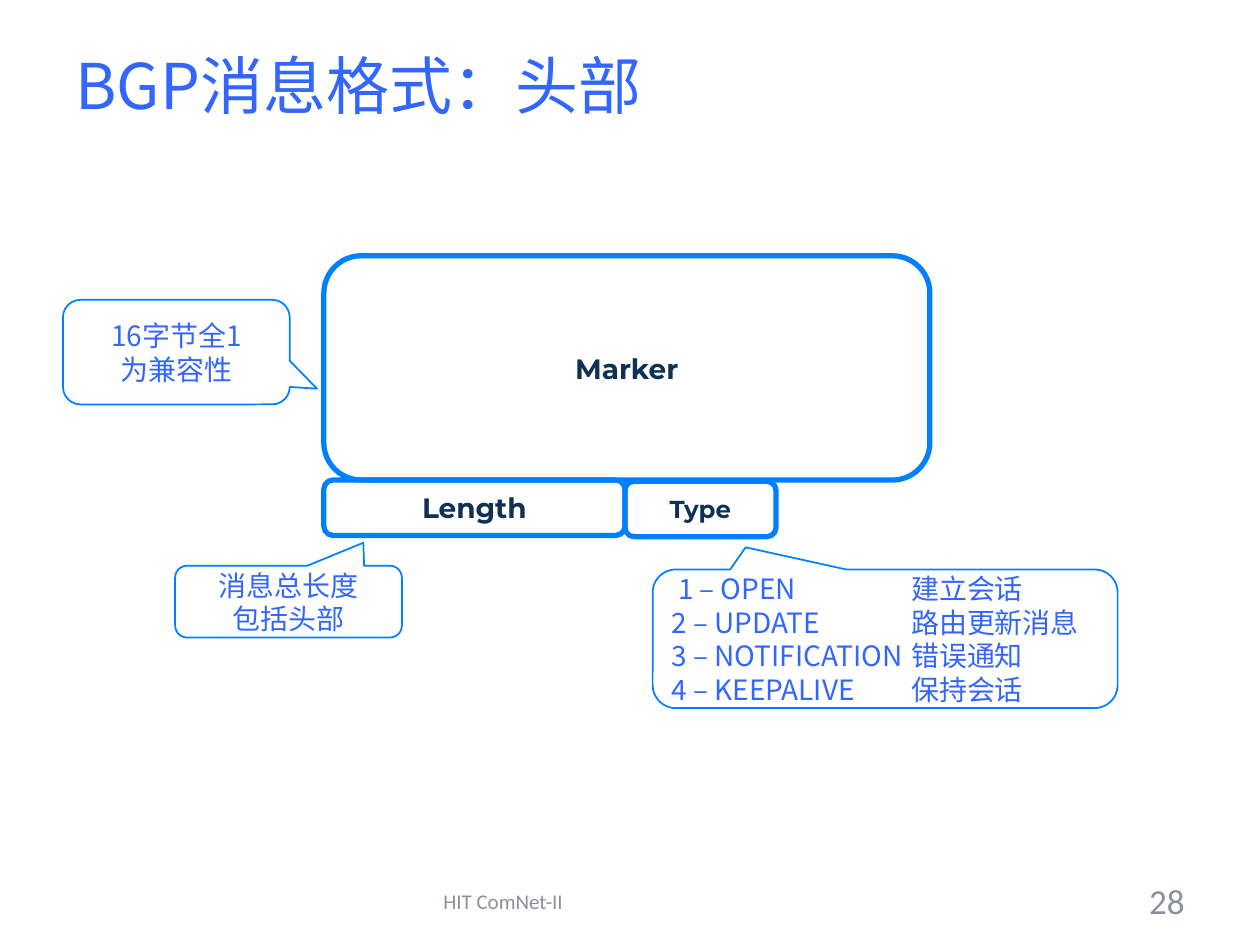
from dataclasses import dataclass

from lxml import etree
from pptx import Presentation
from pptx.dml.color import RGBColor
from pptx.enum.shapes import MSO_SHAPE
from pptx.enum.text import MSO_ANCHOR, PP_ALIGN
from pptx.oxml.ns import qn
from pptx.util import Inches, Pt

LEFT, CENTER, RIGHT = PP_ALIGN.LEFT, PP_ALIGN.CENTER, PP_ALIGN.RIGHT
MIDDLE = MSO_ANCHOR.MIDDLE
FIELD = MSO_SHAPE.ROUNDED_RECTANGLE
CALLOUT = MSO_SHAPE.ROUNDED_RECTANGULAR_CALLOUT


@dataclass(frozen=True)
class Theme:
    note: str = "3366FF"
    outline: str = "0080FF"
    label: str = "103154"
    muted: str = "8C9099"
    note_font: str = "Noto Sans CJK SC"
    label_font: str = "Montserrat"
    footer_font: str = "Calibri"
    title_size: int = 36
    number_size: int = 20
    body_size: int = 16
    small_label_size: int = 14
    footer_size: int = 12
    field_line: int = 3
    callout_line: int = 1


theme = Theme()


def write_text(box, text, *, size=theme.body_size, color=theme.note, font=theme.note_font,
               bold=False, align=LEFT, tab=None):
    frame = box.text_frame
    frame.word_wrap = True
    frame.vertical_anchor = MIDDLE
    for index, line in enumerate(text.split("\n")):
        para = frame.paragraphs[0] if index == 0 else frame.add_paragraph()
        para.alignment = align
        if tab is not None:
            stops = etree.SubElement(para._p.get_or_add_pPr(), qn("a:tabLst"))
            etree.SubElement(stops, qn("a:tab"), pos=str(Inches(tab)), algn="l")
        span = para.add_run()
        span.text = line
        span.font.size = Pt(size)
        span.font.bold = bold
        span.font.color.rgb = RGBColor.from_string(color)
        span.font.name = font
        etree.SubElement(span._r.get_or_add_rPr(), qn("a:ea"), typeface=font)


def add_outline(kind, place, line_width):
    shape = page.shapes.add_shape(kind, *map(Inches, place))
    shape.shadow.inherit = False
    shape.fill.background()
    shape.line.color.rgb = RGBColor.from_string(theme.outline)
    shape.line.width = Pt(line_width)
    return shape


deck = Presentation()
deck.slide_width, deck.slide_height = Inches(10), Inches(7.5)
page = deck.slides.add_slide(deck.slide_layouts[6])

title = page.shapes.add_textbox(Inches(0.5), Inches(0.04), Inches(9), Inches(1.25))
write_text(title, "BGP消息格式：头部", size=theme.title_size)

footers = [
    ("HIT ComNet-II", 3.42, 3.17, theme.footer_size, LEFT),
    ("28", 7.17, 2.33, theme.number_size, RIGHT),
]
for text, left, width, size, align in footers:
    footer = page.shapes.add_textbox(Inches(left), Inches(6.95), Inches(width), Inches(0.4))
    write_text(footer, text, size=size, color=theme.muted, font=theme.footer_font, align=align)

header_fields = [
    ("Length", (2.57, 3.81, 2.39, 0.44), theme.body_size),
    ("Marker", (2.57, 2.03, 4.81, 1.78), theme.body_size),
    ("Type", (4.96, 3.82, 1.2, 0.44), theme.small_label_size),
]
for text, place, size in header_fields:
    field = add_outline(FIELD, place, theme.field_line)
    write_text(field, text, size=size, color=theme.label, font=theme.label_font,
               bold=True, align=CENTER)

message_types = "\n".join([
    " 1 – OPEN\t建立会话",
    "2 – UPDATE\t路由更新消息",
    "3 – NOTIFICATION\t错误通知",
    "4 – KEEPALIVE\t保持会话",
])
callouts = [
    ("16字节全1\n为兼容性", (0.5, 2.38, 1.8, 0.83), (0.62, 0.35), CENTER, None),
    ("消息总长度\n包括头部", (1.39, 4.49, 1.8, 0.57), (0.33, -0.82), CENTER, None),
    (message_types, (5.18, 4.52, 3.69, 1.1), (-0.3, -0.66), LEFT, 1.9),
]
for text, place, pointer, align, tab in callouts:
    callout = add_outline(CALLOUT, place, theme.callout_line)
    callout.adjustments[0], callout.adjustments[1] = pointer
    write_text(callout, text, align=align, tab=tab)

deck.save("out.pptx")
